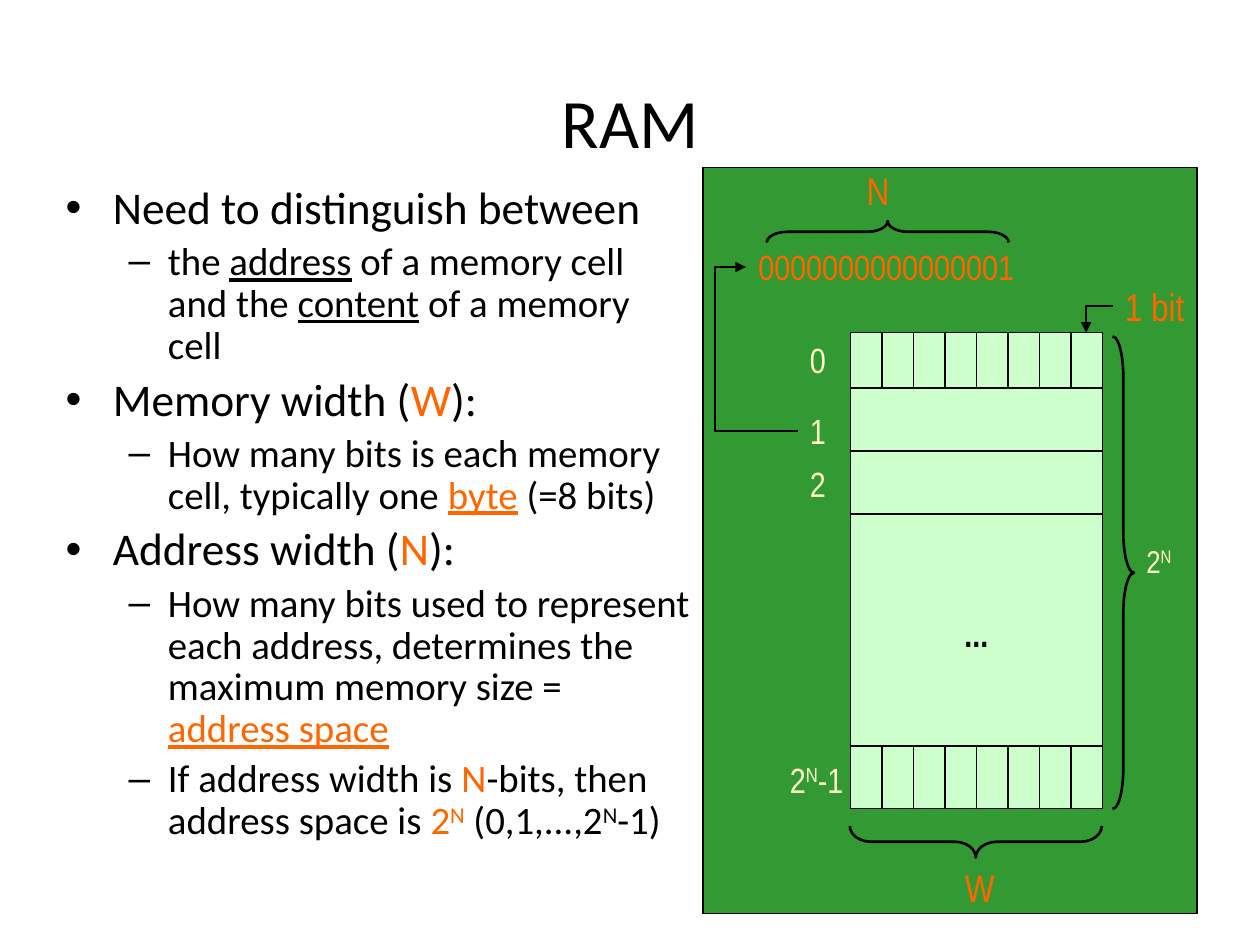
from typing import NamedTuple

from lxml.etree import SubElement
from pptx import Presentation
from pptx.dml.color import RGBColor
from pptx.enum.shapes import MSO_CONNECTOR, MSO_SHAPE
from pptx.enum.text import MSO_ANCHOR, MSO_AUTO_SIZE, PP_ALIGN
from pptx.oxml.ns import qn
from pptx.util import Inches, Pt

BLACK = RGBColor(0x00, 0x00, 0x00)
ORANGE = RGBColor(0xFF, 0x66, 0x00)
GREEN = RGBColor(0x33, 0x99, 0x33)
MINT = RGBColor(0xCC, 0xFF, 0xCC)
CREAM = RGBColor(0xFF, 0xFF, 0xCC)

MEMORY_LEFT, MEMORY_WIDTH = 6.75, 2.0
BITS = 8
ROW_HEIGHT = 0.5


class Span(NamedTuple):
    text: str
    color: RGBColor = BLACK
    underline: bool = False
    raised: bool = False


class Bullet(NamedTuple):
    level: int
    spans: list[Span]


class Label(NamedTuple):
    left: float
    top: float
    width: float
    height: float
    spans: list[Span]
    size: int = 20
    wrap: bool = True


class Brace(NamedTuple):
    left: float
    top: float
    width: float
    height: float
    rotation: int
    curl: float


class Arrow(NamedTuple):
    start: tuple[float, float]
    end: tuple[float, float]
    preset: str
    bend: float | None = None


BULLETS = [
    Bullet(0, [Span("Need to distinguish between")]),
    Bullet(1, [Span("the "), Span("address", underline=True),
               Span(" of a memory cell and the "), Span("content", underline=True),
               Span(" of a memory cell")]),
    Bullet(0, [Span("Memory width ("), Span("W", ORANGE), Span("):")]),
    Bullet(1, [Span("How many bits is each memory cell, typically one "),
               Span("byte", ORANGE, underline=True), Span(" (=8 bits)")]),
    Bullet(0, [Span("Address width ("), Span("N", ORANGE), Span("):")]),
    Bullet(1, [Span("How many bits used to represent each address, "
                    "determines the maximum memory size = "),
               Span("address space", ORANGE, underline=True)]),
    Bullet(1, [Span("If address width is "), Span("N", ORANGE),
               Span("-bits, then address space is "), Span("2", ORANGE),
               Span("N", ORANGE, raised=True), Span(" (0,1,...,2"),
               Span("N", raised=True), Span("-1)")]),
]

LABELS = [
    Label(6.33, 2.64, 0.27, 0.43, [Span("0", CREAM)]),
    Label(6.33, 3.2, 0.27, 0.43, [Span("1", CREAM)]),
    Label(6.33, 3.62, 0.27, 0.43, [Span("2", CREAM)]),
    Label(6.17, 5.97, 0.75, 0.43,
          [Span("2", CREAM), Span("N", CREAM, raised=True), Span("-1", CREAM)]),
    Label(9, 4.25, 0.5, 0.5, [Span("2", CREAM), Span("N", CREAM, raised=True)], 18),
    Label(8.83, 2.2, 0.67, 0.47, [Span("1 bit", ORANGE)], 22, False),
    Label(7.56, 6.81, 0.44, 0.47, [Span("W", ORANGE)], 22, False),
    Label(6.78, 1.28, 0.38, 0.47, [Span("N", ORANGE)], 22, False),
    Label(5.92, 1.9, 2.23, 0.43, [Span("0000000000000001", ORANGE)], 20, False),
]

BRACES = [
    Brace(7.62, 5.68, 0.25, 2, 270, 0.67),
    Brace(6.96, 0.88, 0.17, 1.92, 90, 0.96),
    Brace(8.83, 2.67, 0.17, 3.75, 180, 1.88),
]

ARROWS = [
    Arrow((8.83, 2.43), (8.62, 2.64), "bentConnector2"),
    Arrow((6.33, 3.42), (5.92, 2.12), "bentConnector3", 1.6),
]


def place(shape, left: float, top: float, width: float, height: float) -> None:
    shape.left, shape.top = Inches(left), Inches(top)
    shape.width, shape.height = Inches(width), Inches(height)


def write_spans(paragraph, spans: list[Span], size: float, face: str) -> None:
    for span in spans:
        run = paragraph.add_run()
        run.text = span.text
        run.font.size, run.font.name = Pt(size), face
        run.font.color.rgb = span.color
        if span.underline:
            run.font.underline = True
        if span.raised:
            run._r.get_or_add_rPr().set("baseline", "30000")


def add_box(shapes, left: float, top: float, width: float, height: float,
            fill: RGBColor = MINT):
    box = shapes.add_shape(MSO_SHAPE.RECTANGLE, Inches(left), Inches(top),
                           Inches(width), Inches(height))
    box.shadow.inherit = False
    box.fill.solid()
    box.fill.fore_color.rgb = fill
    box.line.color.rgb = BLACK
    box.line.width = Pt(0.75)
    return box


def add_bit_row(shapes, top: float) -> None:
    bit_width = MEMORY_WIDTH / BITS
    for bit in range(BITS):
        add_box(shapes, MEMORY_LEFT + bit * bit_width, top, bit_width, ROW_HEIGHT)


def add_label(shapes, label: Label) -> None:
    frame = shapes.add_textbox(Inches(label.left), Inches(label.top),
                               Inches(label.width), Inches(label.height)).text_frame
    frame.word_wrap = label.wrap
    write_spans(frame.paragraphs[0], label.spans, label.size, "Arial Narrow")


def add_brace(shapes, brace: Brace) -> None:
    shape = shapes.add_shape(MSO_SHAPE.LEFT_BRACE, Inches(brace.left), Inches(brace.top),
                             Inches(brace.width), Inches(brace.height))
    shape.shadow.inherit = False
    shape.rotation = brace.rotation
    shape.adjustments[0] = brace.curl
    shape.fill.background()
    shape.line.color.rgb = BLACK
    shape.line.width = Pt(1.5)


def add_arrow(shapes, arrow: Arrow) -> None:
    points = [Inches(value) for value in arrow.start + arrow.end]
    connector = shapes.add_connector(MSO_CONNECTOR.ELBOW, *points)
    connector.line.color.rgb = BLACK
    connector.line.width = Pt(1.5)
    properties = connector._element.spPr
    SubElement(properties.find(qn("a:ln")), qn("a:tailEnd"), type="triangle")
    SubElement(properties, qn("a:effectLst"))
    geometry = properties.find(qn("a:prstGeom"))
    geometry.set("prst", arrow.preset)
    if arrow.bend is not None:
        SubElement(geometry.find(qn("a:avLst")), qn("a:gd"), name="adj1",
                   fmla=f"val {round(arrow.bend * 100000)}")


def fill_placeholders(slide) -> None:
    title, body = slide.shapes.title, slide.placeholders[1]
    place(title, 0.75, 0.67, 8.5, 0.58)
    place(body, 0.42, 1.42, 5.17, 5.75)
    for placeholder in (title, body):
        placeholder.text_frame.auto_size = MSO_AUTO_SIZE.NONE
    write_spans(title.text_frame.paragraphs[0], [Span("RAM")], 39.6, "Calibri")
    frame = body.text_frame
    for index, bullet in enumerate(BULLETS):
        paragraph = frame.add_paragraph() if index else frame.paragraphs[0]
        paragraph.level = bullet.level
        paragraph.line_spacing = 0.9
        write_spans(paragraph, bullet.spans, 22.2 if bullet.level else 25.9, "Calibri")


def draw_memory(shapes) -> None:
    add_box(shapes, 5.58, 1.33, 3.92, 5.92, GREEN)
    add_bit_row(shapes, 2.64)
    gap = add_box(shapes, MEMORY_LEFT, 4.08, MEMORY_WIDTH, 1.89)
    gap.text_frame.vertical_anchor = MSO_ANCHOR.MIDDLE
    dots = gap.text_frame.paragraphs[0]
    dots.alignment = PP_ALIGN.CENTER
    write_spans(dots, [Span("...")], 20, "Arial Narrow")
    dots.runs[0].font.bold = True
    for row in range(2):
        add_box(shapes, MEMORY_LEFT, 3.08 + row * ROW_HEIGHT, MEMORY_WIDTH, ROW_HEIGHT)
    add_bit_row(shapes, 5.92)


def main() -> None:
    deck = Presentation()
    deck.slide_width, deck.slide_height = Inches(10), Inches(7.5)
    slide = deck.slides.add_slide(deck.slide_layouts[1])
    fill_placeholders(slide)
    draw_memory(slide.shapes)
    for label in LABELS:
        add_label(slide.shapes, label)
    for brace in BRACES:
        add_brace(slide.shapes, brace)
    for arrow in ARROWS:
        add_arrow(slide.shapes, arrow)
    deck.save("out.pptx")


if __name__ == "__main__":
    main()
